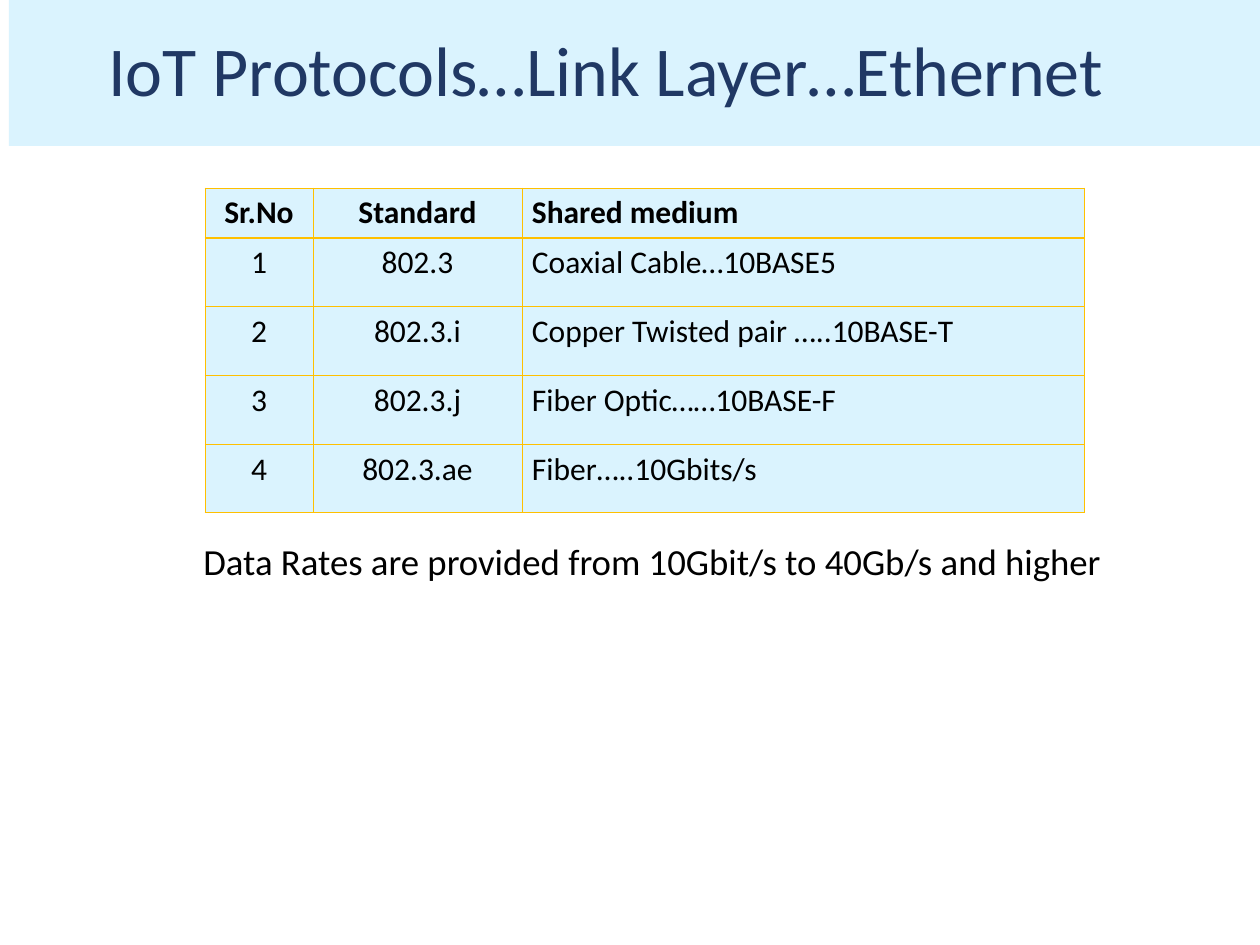
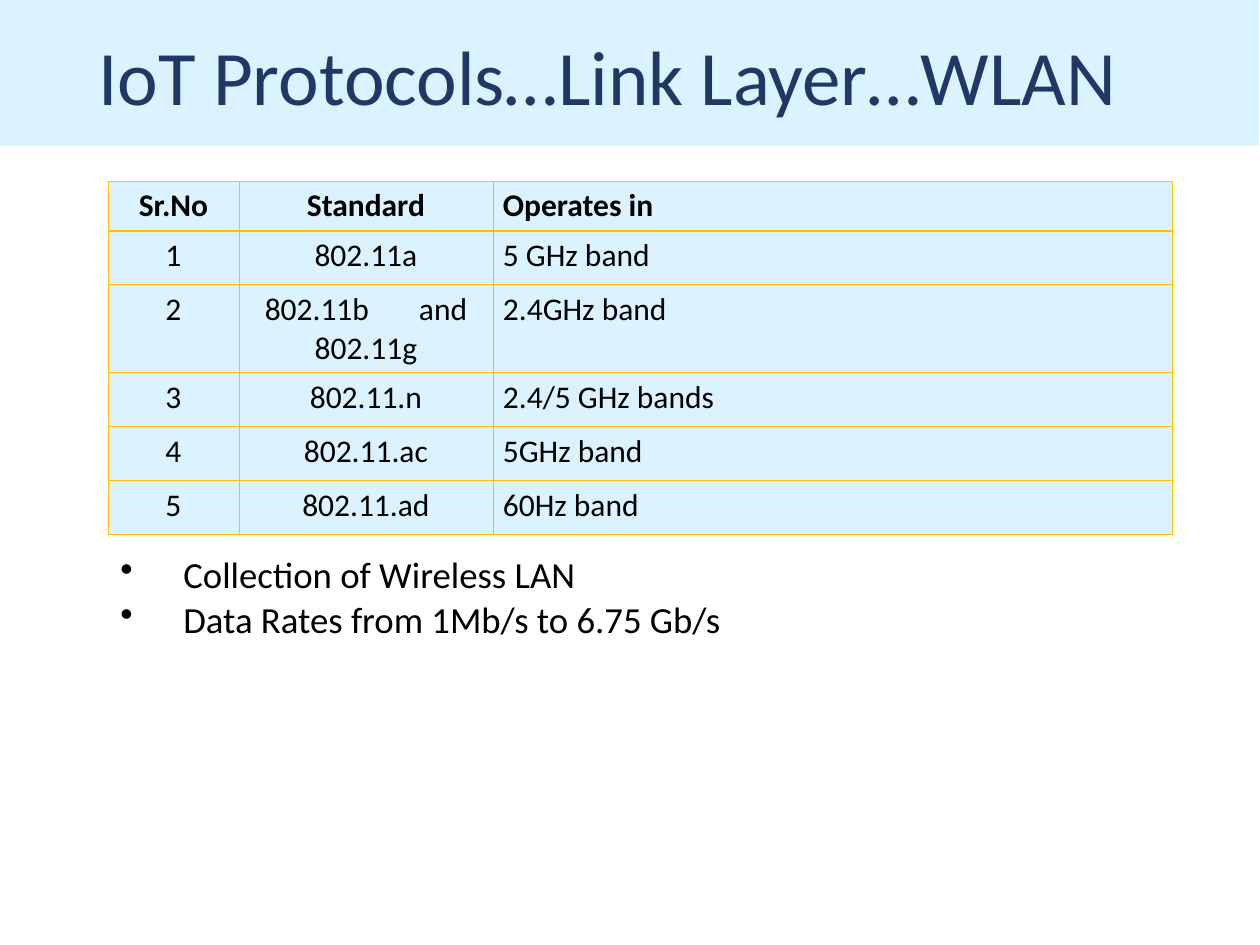
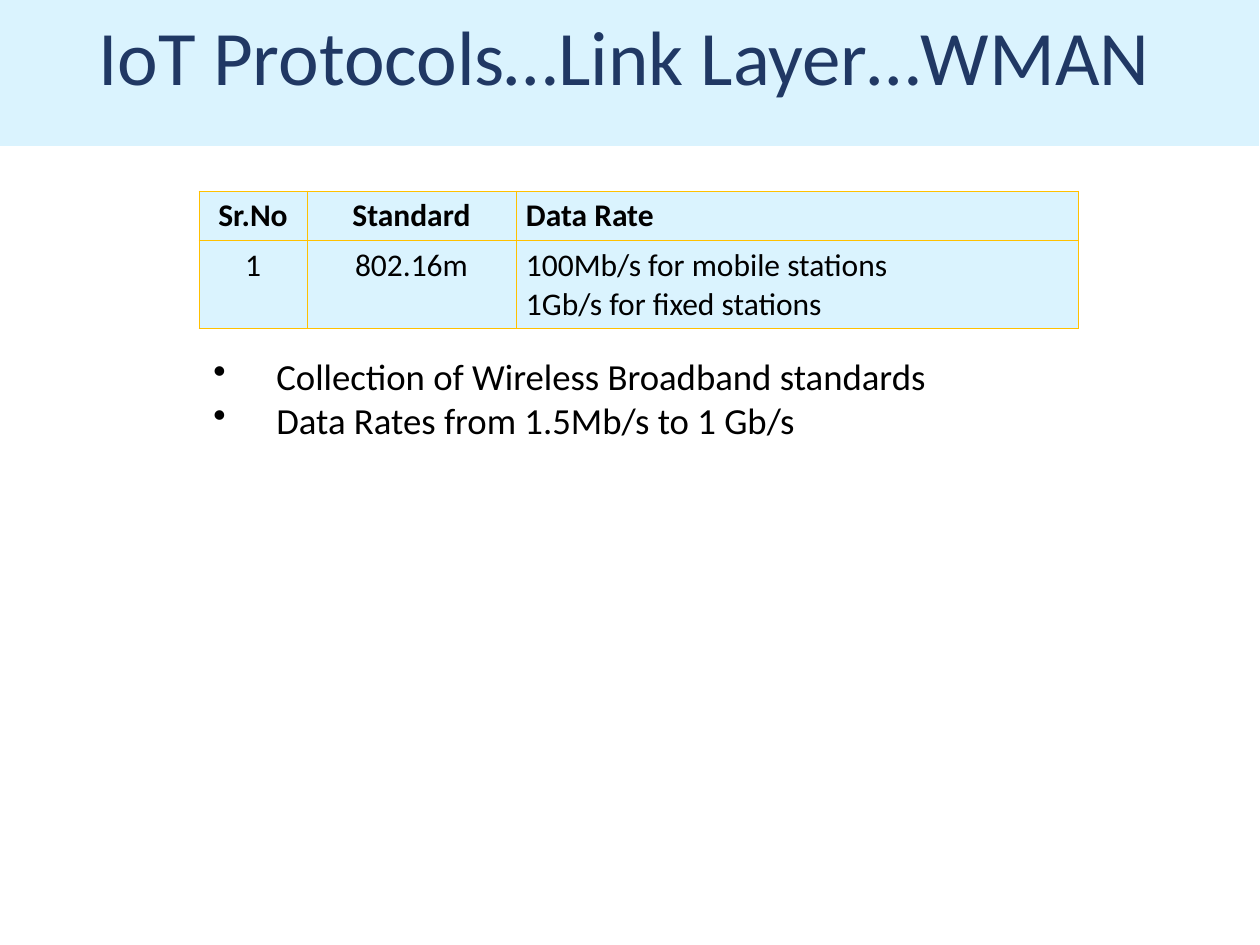
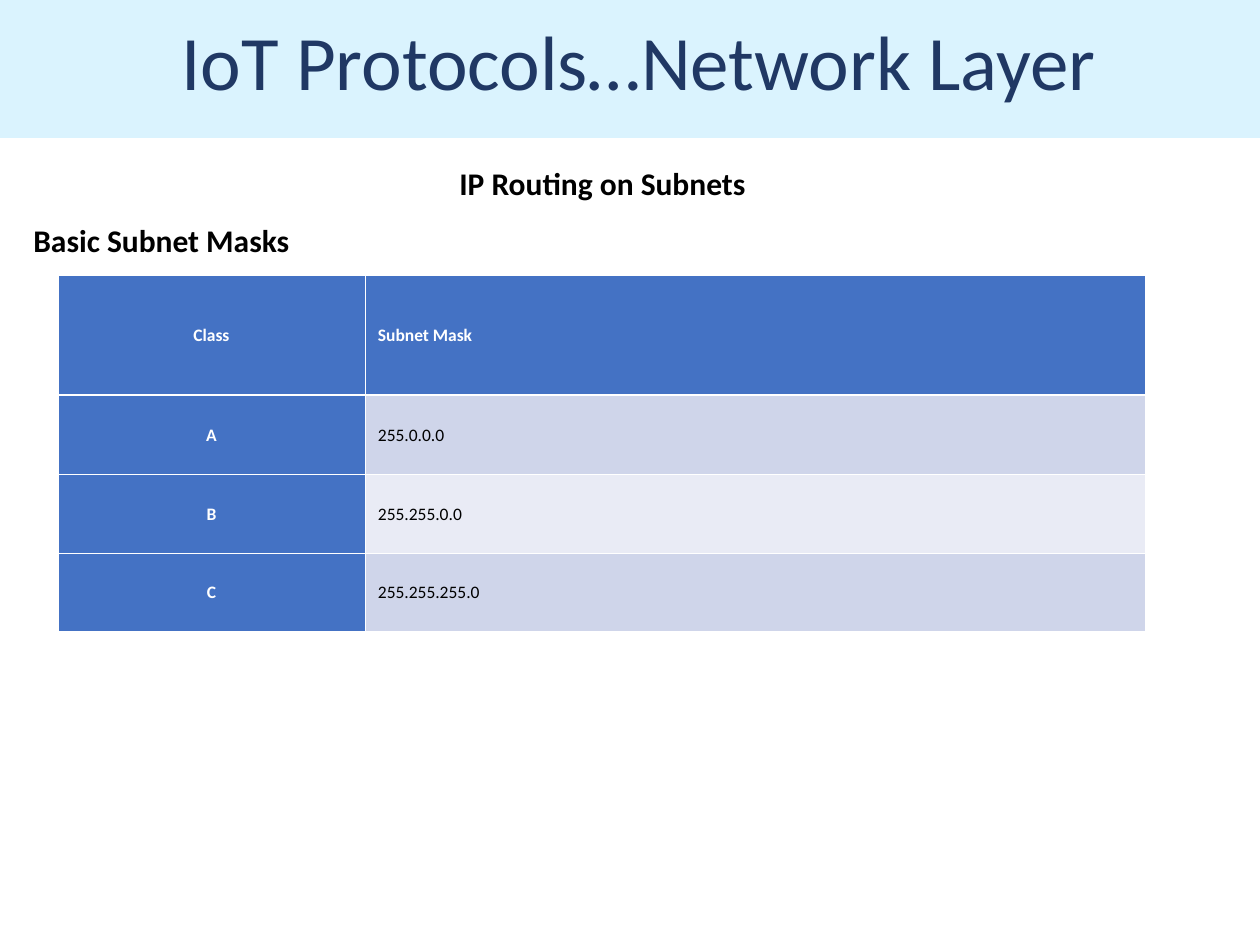
from lxml import etree
from pptx import Presentation
from pptx.dml.color import RGBColor
from pptx.enum.shapes import MSO_SHAPE
from pptx.enum.text import MSO_ANCHOR, PP_ALIGN
from pptx.oxml.ns import qn
from pptx.util import Emu, Pt

RECT = MSO_SHAPE.RECTANGLE
LEFT, CENTER, JUSTIFY = PP_ALIGN.LEFT, PP_ALIGN.CENTER, PP_ALIGN.JUSTIFY
TOP, MIDDLE = MSO_ANCHOR.TOP, MSO_ANCHOR.MIDDLE

# Shared look
FONT = "Calibri"
PALE, NAVY, GOLD, BLACK, WHITE = "DAF3FE", "203864", "FFC000", "000000", "FFFFFF"
BLUE, STRIPES = "4472C4", ("CFD5EA", "E9EBF5")
BAND_SIZE = (1260, 146)
BULLET_INDENT = 63
WIDE_SPACE = 24.4  # extra points after the space in "802.11b and"

STANDARDS = dict(size=18, line=GOLD, thin=0.45, thick=0.96, insets=(10, 6),
                 anchor=TOP, aligns=(CENTER, CENTER, LEFT), spacing=1)
MASKS = dict(size=10, line=WHITE, thin=0.45, thick=1.47, insets=(13, 6),
             anchor=MIDDLE, aligns=(CENTER, JUSTIFY), spacing=1.07)
NOTE = dict(size=21)
HEADING = dict(size=18, bold=True, spacing=1.5)

# Content: boxes are (left, top, width, height) in px
SLIDES = [
    dict(
        title="IoT Protocols…Link Layer…Ethernet", title_size=40,
        band=(9, 0), title_box=(96, 18, 1087, 112),
        table=dict(at=(205, 188), cols=(108, 209, 562), rows=(47, 69, 69, 69, 68),
                   style=STANDARDS, data=[
                       ("Sr.No", "Standard", "Shared medium"),
                       ("1", "802.3", "Coaxial Cable…10BASE5"),
                       ("2", "802.3.i", "Copper Twisted pair …..10BASE-T"),
                       ("3", "802.3.j", "Fiber Optic……10BASE-F"),
                       ("4", "802.3.ae", "Fiber…..10Gbits/s")]),
        note_box=(191, 533, 935, 57),
        notes=[("Data Rates are provided from 10Gbit/s to 40Gb/s and higher", NOTE)],
    ),
    dict(
        title="IoT Protocols…Link Layer…WLAN", title_size=44,
        band=(-1, 0), title_box=(86, 15, 1086, 131),
        table=dict(at=(108, 181), cols=(131, 254, 679), rows=(48, 54, 86, 54, 54, 54),
                   style=STANDARDS, data=[
                       ("Sr.No", "Standard", "Operates in"),
                       ("1", "802.11a", "5 GHz band"),
                       ("2", ("802.11b", " ", "and 802.11g"), "2.4GHz band"),
                       ("3", "802.11.n", "2.4/5 GHz bands"),
                       ("4", "802.11.ac", "5GHz band"),
                       ("5", "802.11.ad", "60Hz band")]),
        note_box=(108, 546, 935, 101),
        notes=[("Collection of Wireless LAN", dict(NOTE, bullet=True)),
               ("Data Rates from 1Mb/s to 6.75 Gb/s", dict(NOTE, bullet=True))],
    ),
    dict(
        title="IoT Protocols…Link Layer…WMAN", title_size=44,
        band=(-1, 0), title_box=(86, 5, 1086, 112),
        table=dict(at=(199, 191), cols=(108, 209, 562), rows=(47, 86),
                   style=STANDARDS, data=[
                       ("Sr.No", "Standard", "Data Rate"),
                       ("1", "802.16m",
                        "100Mb/s for mobile stations\n1Gb/s for fixed stations")]),
        note_box=(201, 348, 935, 101),
        notes=[("Collection of Wireless Broadband standards", dict(NOTE, bullet=True)),
               ("Data Rates from 1.5Mb/s to 1 Gb/s", dict(NOTE, bullet=True))],
    ),
    dict(
        title="IoT Protocols…Network Layer", title_size=44,
        band=(0, -8), title_box=(169, -8, 942, 147),
        table=dict(at=(58, 275), cols=(307, 780), rows=(120, 79, 79, 78),
                   style=MASKS, data=[
                       ("Class", "Subnet Mask"),
                       ("A", "255.0.0.0"),
                       ("B", "255.255.0.0"),
                       ("C", "255.255.255.0")]),
        note_box=(21, 139, 1163, 183),
        notes=[("IP Routing on Subnets", dict(HEADING, align=CENTER)),
               ("Basic Subnet Masks", HEADING)],
    ),
]


def px(n):
    return Emu(round(n * 914400 / 126))


def rgb(color):
    return RGBColor.from_string(color)


def write(p, text, size, color=BLACK, bold=False, align=LEFT, spacing=1, bullet=False):
    """Fill a paragraph; a tuple gives runs whose lone space is widened."""
    if bullet:
        pPr = p._p.get_or_add_pPr()
        pPr.set("marL", str(px(BULLET_INDENT)))
        pPr.set("indent", str(-px(BULLET_INDENT)))
        etree.SubElement(pPr, qn("a:buChar")).set("char", "•")
    p.alignment, p.line_spacing = align, spacing
    for part in (text,) if isinstance(text, str) else text:
        r = p.add_run()
        r.text = part
        for name, value in dict(name=FONT, size=Pt(size), bold=bold).items():
            setattr(r.font, name, value)
        r.font.color.rgb = rgb(color)
        if part == " ":
            r._r.get_or_add_rPr().set("spc", str(round(WIDE_SPACE * 100)))


def fill_frame(tf, items):
    for i, (text, look) in enumerate(items):
        p = tf.add_paragraph() if i else tf.paragraphs[0]
        write(p, text, **look)


def add_text(s, box, items, anchor=TOP):
    tf = s.shapes.add_textbox(*map(px, box)).text_frame
    tf.word_wrap, tf.vertical_anchor = True, anchor
    fill_frame(tf, items)


def add_band(s, at):
    sp = s.shapes.add_shape(RECT, *map(px, at + BAND_SIZE))
    sp.shadow.inherit = False
    sp.fill.solid()
    sp.fill.fore_color.rgb = rgb(PALE)
    sp.line.fill.background()


def set_borders(cell, color, widths):
    tcPr = cell._tc.get_or_add_tcPr()
    for i, (side, width) in enumerate(widths.items()):
        ln = etree.Element(qn("a:ln" + side), w=str(Pt(width)))
        fill = etree.SubElement(ln, qn("a:solidFill"))
        etree.SubElement(fill, qn("a:srgbClr")).set("val", color)
        tcPr.insert(i, ln)


def cell_colors(style, row, col):
    """Return fill, text colour and weight of a cell."""
    if style is STANDARDS:
        return PALE, BLACK, row == 0
    if row == 0 or col == 0:
        return BLUE, WHITE, True
    return STRIPES[(row - 1) % 2], BLACK, False


def add_grid(s, at, cols, rows, style, data):
    size = (sum(cols), sum(rows))
    table = s.shapes.add_table(len(rows), len(cols), *map(px, at + size)).table
    table.first_row = table.horz_banding = False
    for column, width in zip(table.columns, cols):
        column.width = px(width)
    for row, height in zip(table.rows, rows):
        row.height = px(height)
    side, edge = map(px, style["insets"])
    thin, thick = style["thin"], style["thick"]
    for i, values in enumerate(data):
        for j, value in enumerate(values):
            cell = table.cell(i, j)
            fill, color, bold = cell_colors(style, i, j)
            look = dict(size=style["size"], color=color, bold=bold,
                        align=style["aligns"][j], spacing=style["spacing"])
            lines = value.split("\n") if isinstance(value, str) else [value]
            fill_frame(cell.text_frame, [(line, look) for line in lines])
            for name, v in dict(margin_left=side, margin_right=side, margin_top=edge,
                                margin_bottom=edge, vertical_anchor=style["anchor"]).items():
                setattr(cell, name, v)
            cell.fill.solid()
            cell.fill.fore_color.rgb = rgb(fill)
            # The rule under the header row is heavier
            set_borders(cell, style["line"], dict(
                L=thin, R=thin, T=thick if i == 1 else thin, B=thick if i == 0 else thin))


def main():
    prs = Presentation()
    prs.slide_width, prs.slide_height = px(1260), px(945)
    for page in SLIDES:
        s = prs.slides.add_slide(prs.slide_layouts[6])
        add_band(s, page["band"])
        title = dict(size=page["title_size"], color=NAVY, spacing=0.9)
        add_text(s, page["title_box"], [(page["title"], title)], MIDDLE)
        add_text(s, page["note_box"], page["notes"])
        add_grid(s, **page["table"])
    prs.save("out.pptx")


if __name__ == "__main__":
    main()
